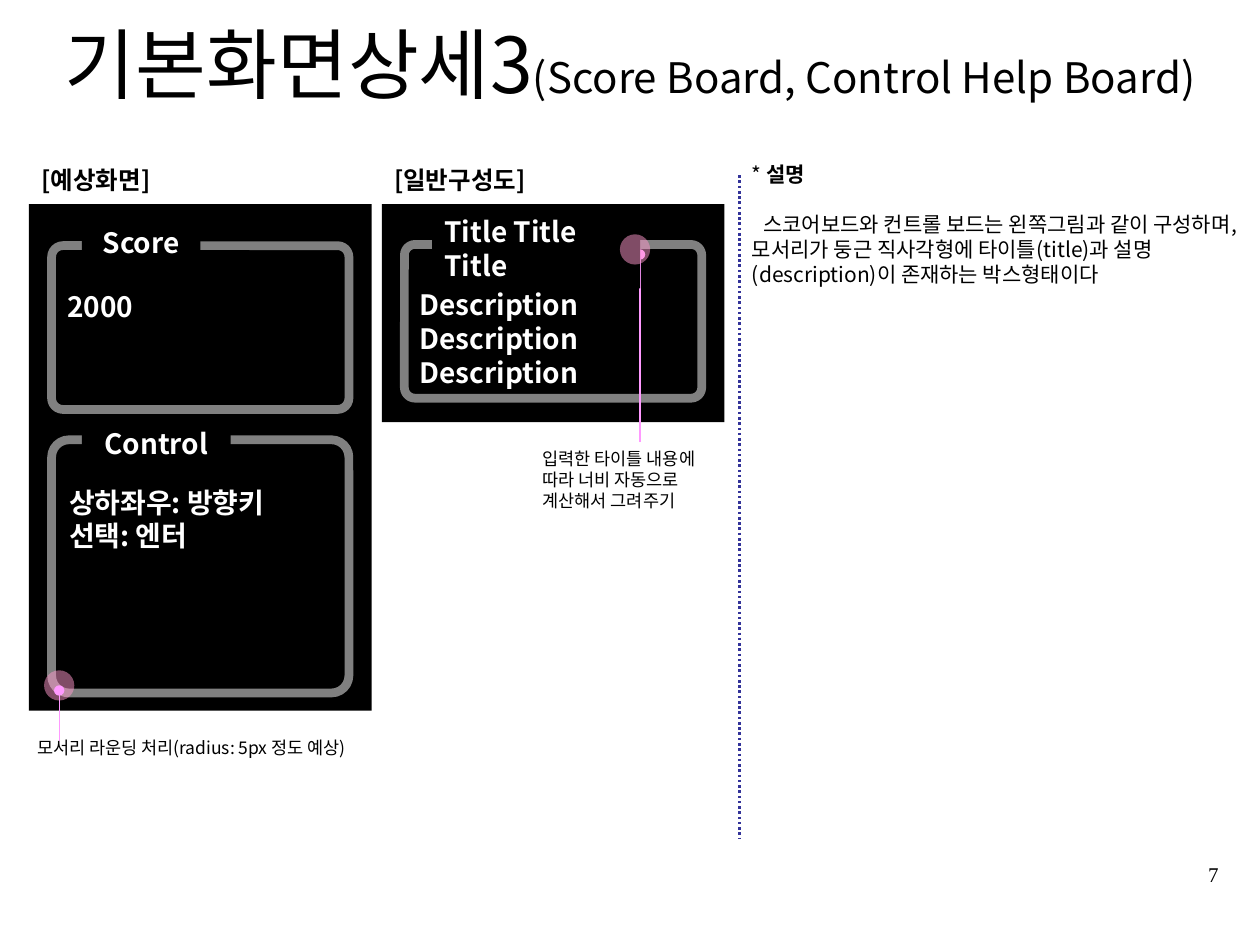
"""Build the score board and control help board detail slide."""
from lxml import etree
from pptx import Presentation
from pptx import util as u
from pptx.dml.color import RGBColor
from pptx.enum import dml, shapes, text
from pptx.oxml import ns

BLACK = RGBColor(0x00, 0x00, 0x00)
WHITE = RGBColor(0xFF, 0xFF, 0xFF)
GRAY = RGBColor(0x80, 0x80, 0x80)
NAVY = RGBColor(0x33, 0x33, 0x99)
PINK = RGBColor(0xFF, 0x99, 0xCC)
ORCHID = RGBColor(0xFF, 0x99, 0xFF)
KOREAN = "Noto Sans CJK KR"
LEFT, MIDDLE, RIGHT = 0.23, 3.03, 5.87
PANEL_TOP, PANEL_WIDTH = 1.62, 2.72
FRAME_INSET, FRAME_WIDTH = 0.18, 2.36
TOP, CENTER = text.MSO_ANCHOR.TOP, text.MSO_ANCHOR.MIDDLE
ALIGN = text.PP_ALIGN
KINDS = shapes.MSO_SHAPE

deck = Presentation()
deck.slide_width, deck.slide_height = u.Inches(10), u.Inches(7.5)
slide = deck.slides.add_slide(deck.slide_layouts[5])


def write(holder, lines, size, color=BLACK, bold=False, align=ALIGN.LEFT,
          anchor=TOP, font=KOREAN, top=0.05):
    frame = holder.text_frame
    frame.word_wrap, frame.auto_size = True, text.MSO_AUTO_SIZE.NONE
    frame.vertical_anchor, frame.margin_top = anchor, u.Inches(top)
    for index, line in enumerate(lines):
        paragraph = frame.paragraphs[0] if index == 0 else frame.add_paragraph()
        for words in line:
            paragraph.add_run().text = words
        paragraph.alignment = align
        paragraph.font.size, paragraph.font.bold = u.Pt(size), bold
        paragraph.font.color.rgb, paragraph.font.name = color, font
        east_asian = etree.SubElement(paragraph.font._element, ns.qn("a:ea"))
        east_asian.set("typeface", font)
    return frame


def block(kind, box, fill=None, alpha=100):
    shape = slide.shapes.add_shape(kind, *map(u.Inches, box))
    shape.shadow.inherit = False
    if fill is None:
        shape.fill.background()
        shape.adjustments[0] = 0.069
        shape.line.color.rgb, shape.line.width = GRAY, u.Pt(5)
    else:
        shape.fill.solid()
        shape.fill.fore_color.rgb = fill
        shape.line.fill.background()
    if alpha < 100:
        tint = shape.fill._xPr.find(".//" + ns.qn("a:srgbClr"))
        etree.SubElement(tint, ns.qn("a:alpha")).set("val", str(alpha * 1000))
    return shape


title = slide.shapes.title
title.left, title.top = 0, 0
title.width, title.height = deck.slide_width, u.Inches(0.99)
heading = write(title, [["기본화면상세3", "(Score Board, Control Help Board)"]],
                44, align=ALIGN.CENTER, anchor=CENTER)
heading.paragraphs[0].runs[1].font.size = u.Pt(24)

for column, height in ((MIDDLE, 1.73), (LEFT, 4.02)):
    block(KINDS.RECTANGLE, (column, PANEL_TOP, PANEL_WIDTH, height), BLACK)

for column, top, height, details in (
        (MIDDLE, 1.94, 1.22, ["Description Description Description"]),
        (LEFT, 1.95, 1.3, ["2000"]),
        (LEFT, 3.49, 2.01, ["상하좌우: 방향키", "선택: 엔터"])):
    board = block(KINDS.ROUNDED_RECTANGLE,
                  (column + FRAME_INSET, top, FRAME_WIDTH, height))
    write(board, [[detail] for detail in details], 16, WHITE, True, top=0.32)

for name, top, width in (("Score", 1.74, 0.94), ("Control", 3.33, 1.18)):
    board_name = block(KINDS.RECTANGLE, (0.65, top, width, 0.37), BLACK)
    write(board_name, [[name]], 16, WHITE, True, ALIGN.CENTER, CENTER)

block(KINDS.OVAL, (0.35, 5.32, 0.24, 0.24), PINK, 50)

for x, start, end, color, width in ((RIGHT, 1.39, 6.66, NAVY, 1.5),
                                    (0.47, 5.88, 5.48, ORCHID, 0.75),
                                    (5.08, 3.51, 2.02, ORCHID, 0.75)):
    rule = slide.shapes.add_connector(
        shapes.MSO_CONNECTOR.STRAIGHT, *map(u.Inches, (x, start, x, end)))
    rule.line.color.rgb, rule.line.width = color, u.Pt(width)
    if color == NAVY:
        rule.line.dash_style = dml.MSO_LINE.ROUND_DOT
    else:
        etree.SubElement(rule.line._ln, ns.qn("a:tailEnd")).set("type", "oval")
    etree.SubElement(rule._element.spPr, ns.qn("a:effectLst"))

template_name = block(KINDS.RECTANGLE, (3.43, 1.65, 1.65, 0.64), BLACK)
write(template_name, [["Title Title Title"]], 16, WHITE, True, anchor=CENTER)
block(KINDS.OVAL, (4.92, 1.86, 0.24, 0.24), PINK, 50)

for words, box, size, bold, align, anchor, font in (
        ("[예상화면]", (LEFT, 1.31, 1.34, 0.24), 14, True, ALIGN.LEFT, CENTER, KOREAN),
        ("[일반구성도]", (MIDDLE, 1.31, 1.5, 0.24), 14, True, ALIGN.LEFT, CENTER, KOREAN),
        ("모서리 라운딩 처리(radius: 5px 정도 예상)", (0.2, 5.8, 3.31, 0.27),
         10, False, ALIGN.LEFT, TOP, KOREAN),
        ("입력한 타이틀 내용에 따라 너비 자동으로 계산해서 그려주기",
         (4.21, 3.51, 1.58, 0.6), 10, False, ALIGN.LEFT, TOP, KOREAN),
        ("7", (8.7, 6.74, 1.07, 0.4), 12, False, ALIGN.RIGHT, CENTER, "Times New Roman")):
    caption = slide.shapes.add_textbox(*map(u.Inches, box))
    write(caption, [[words]], size, BLACK, bold, align, anchor, font)

explanation = slide.shapes.add_textbox(*map(u.Inches, (RIGHT, 1.23, 4.13, 1.5)))
notes = write(explanation, [["* ", "설명"], [
    "스코어보드와 컨트롤 보드는 왼쪽그림과 같이 구성하며, 모서리가 둥근 직사각형에 "
    "타이틀(title)과 설명(description)이 존재하는 박스형태이다"]], 12)
notes.paragraphs[0].runs[1].font.bold = True
notes.paragraphs[1].space_before = u.Pt(14.4)
notes.paragraphs[1]._p.pPr.set("indent", str(u.Inches(0.09)))

deck.save("out.pptx")
